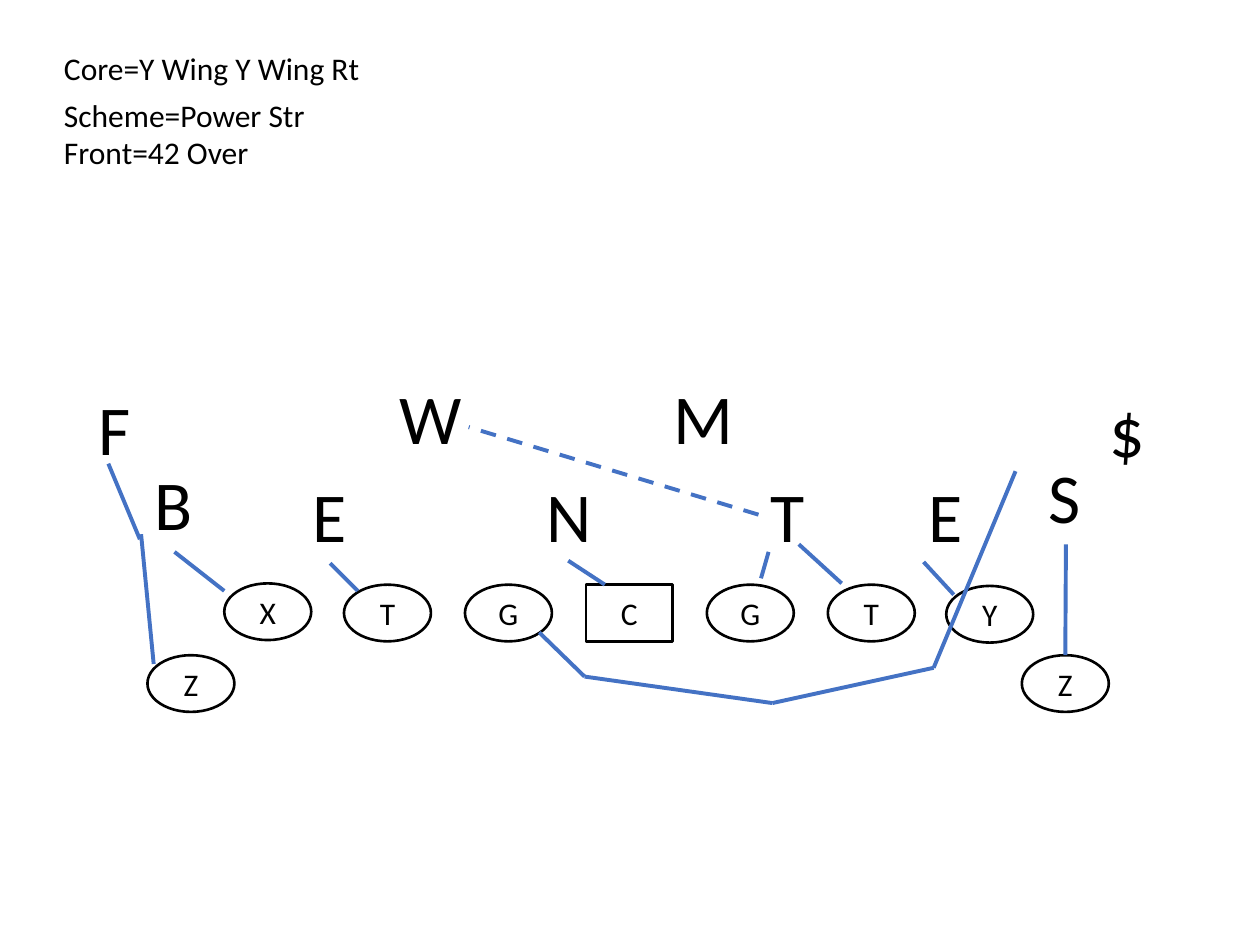
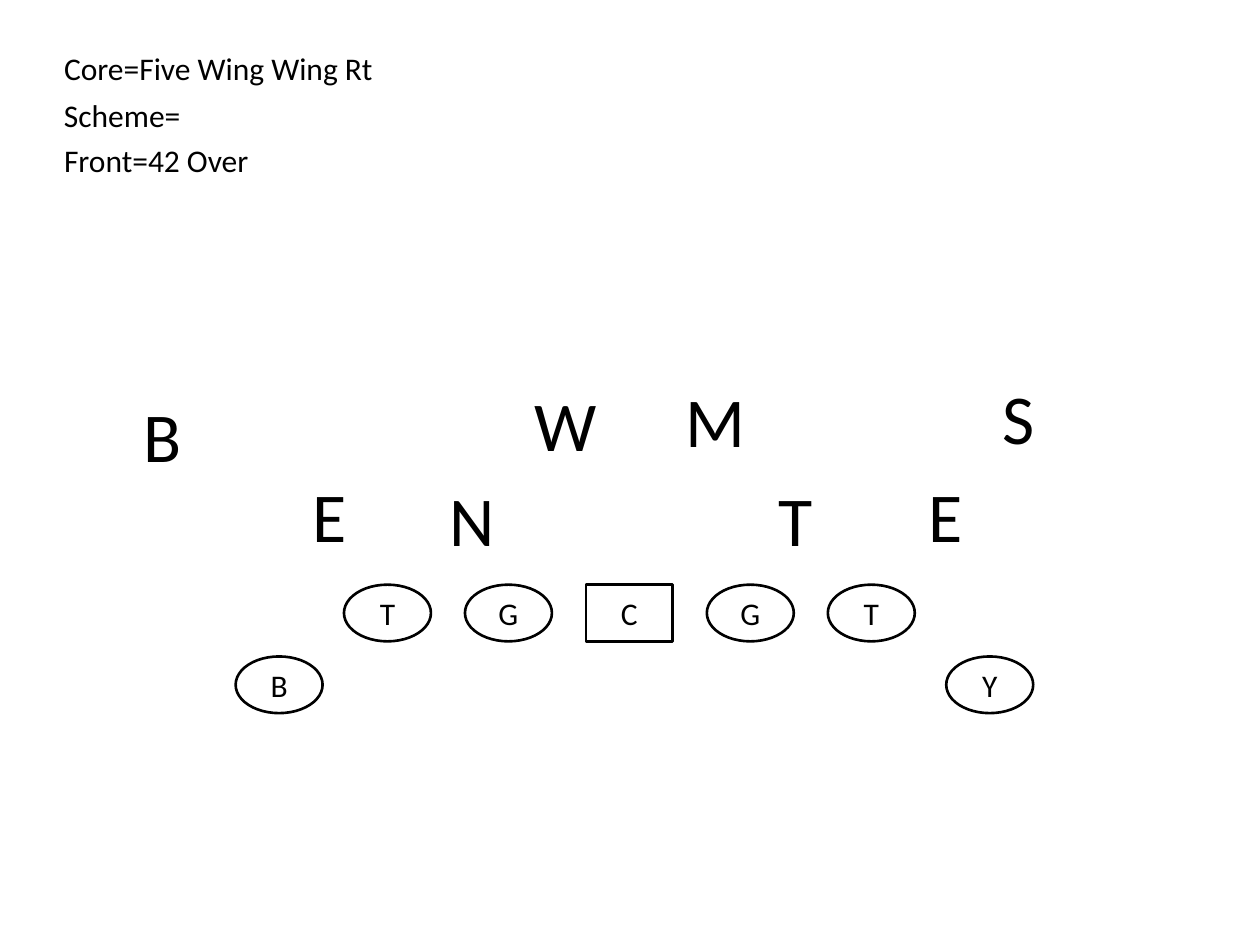
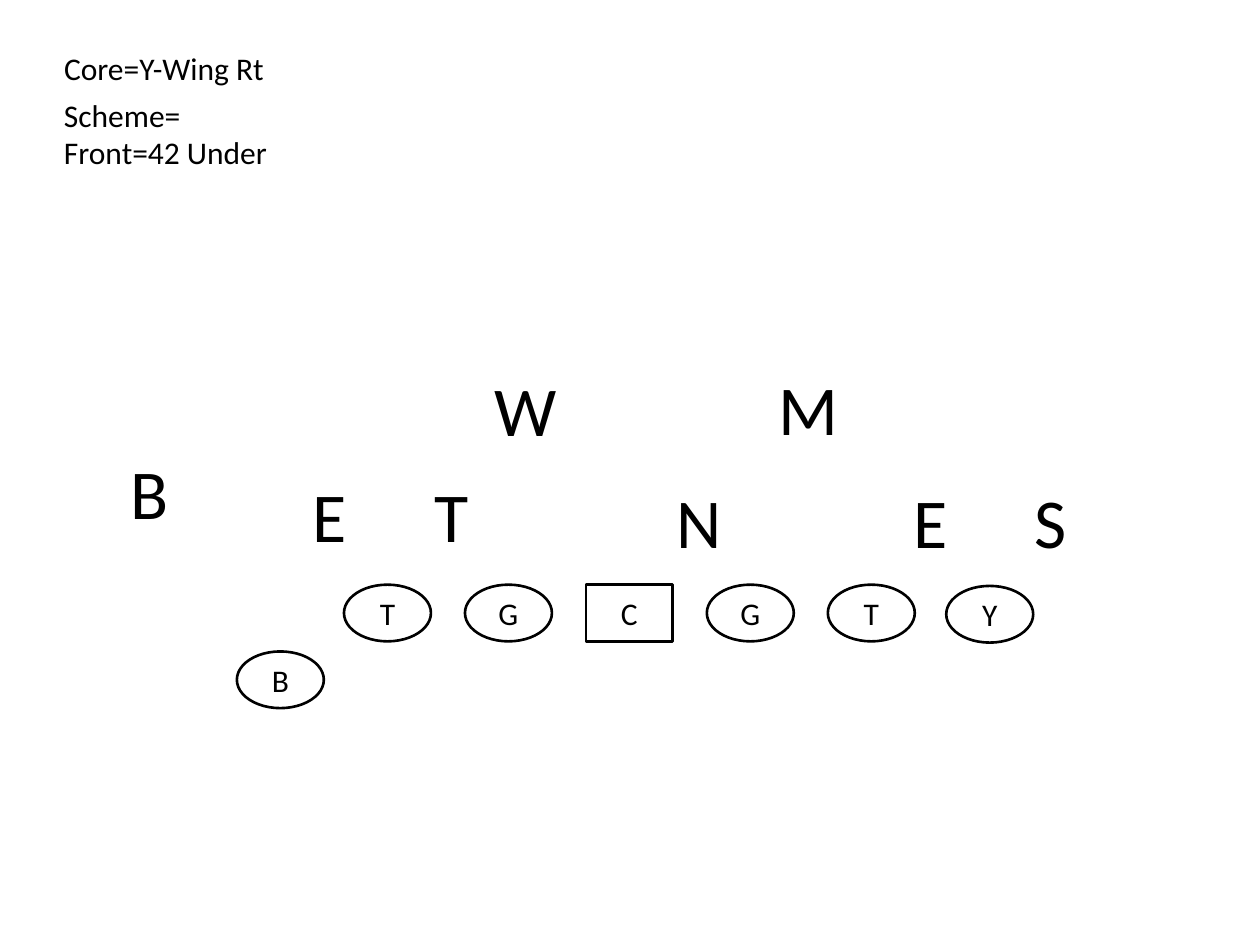
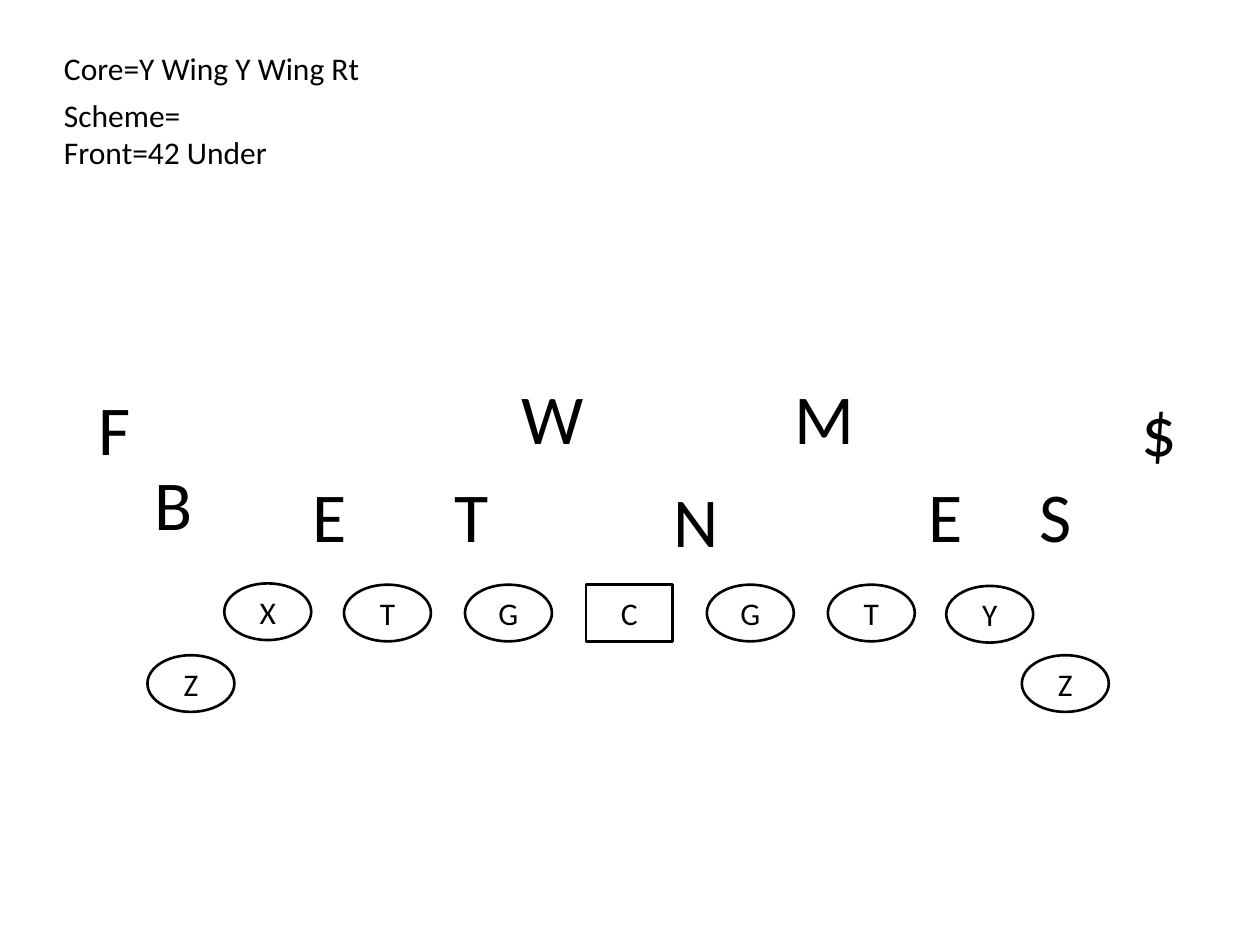
from dataclasses import dataclass
from itertools import pairwise

from lxml import etree
from pptx import Presentation
from pptx import util as u
from pptx.dml.color import RGBColor
from pptx.enum import dml, shapes, text
from pptx.oxml.ns import qn

PX = 9144  # EMU in one px, 100 px to the inch


@dataclass(frozen=True)
class Theme:
    font: str = "Calibri"
    ink: RGBColor = RGBColor(0, 0, 0)
    paper: RGBColor = RGBColor(255, 255, 255)
    route: RGBColor = RGBColor(0x44, 0x72, 0xC4)
    small: int = 18
    large: int = 40
    edge: float = 1.5
    stroke: float = 2.25


@dataclass
class Play:
    notes: list    # (text, top, width)
    wings: list    # (letter, left, top) beside the line
    defense: list  # (letter, left, top)


THEME = Theme()
NOTE_X, NOTE_H = 41, 40
SPOT_W, SPOT_H = 69, 45
LINE, LINE_X, LINE_Y, PITCH = "TGCGT", 273, 464, 96
MARK_H = 77
MARK_W = dict(N=56, T=48, E=48, W=70, M=70, S=48, B=51, F=35) | {"$": 39}

CORE_YY = ("Core=Y Wing Y Wing Rt", 34, 257)
NO_SCHEME = ("Scheme=", 71, 114)
OVER = ("Front=42 Over", 101, 174)
UNDER = ("Front=42 Under", 101, 183)

Y_END = ("Y", 751, 465)
TWO_WINGS = [Y_END, ("X", 178, 463), ("Z", 811, 520), ("Z", 117, 520)]
LEFT_END = ("E", 238, 370)
RIGHT_END = ("E", 727, 370)
LEFT_BACKS = [("B", 113, 361), ("F", 68, 301)]

PLAYS = [
    Play([CORE_YY, ("Scheme=Power Str", 71, 213), OVER],
         TWO_WINGS,
         [("N", 424, 370), ("T", 602, 370), RIGHT_END, LEFT_END,
          ("W", 307, 292), ("M", 525, 292), ("S", 822, 355),
          ("$", 871, 303), *LEFT_BACKS]),
    Play([("Core=Five Wing Wing Rt", 34, 268), NO_SCHEME,
          ("Front=42 Over", 107, 168)],
         [("Y", 751, 521), ("B", 187, 521)],
         [("N", 347, 373), ("T", 608, 373), RIGHT_END, LEFT_END,
          ("W", 414, 298), ("M", 534, 295), ("S", 786, 292),
          ("B", 104, 307)]),
    Play([("Core=Y-Wing Rt", 34, 182), NO_SCHEME, UNDER],
         [Y_END, ("B", 188, 517)],
         [("N", 527, 375), ("T", 335, 370), ("E", 715, 375), LEFT_END,
          ("W", 383, 286), ("M", 608, 285), ("S", 811, 375),
          ("B", 94, 352)]),
    Play([CORE_YY, NO_SCHEME, UNDER],
         TWO_WINGS,
         [("N", 525, 374), ("T", 351, 370), RIGHT_END, LEFT_END,
          ("W", 404, 292), ("M", 621, 292), ("S", 815, 370),
          ("$", 896, 302), *LEFT_BACKS]),
]

BLOCKS = [
    ((451, 445), (480, 464)),
    ((733, 446), (757, 472)),
    ((112, 424), (122, 527)),
    ((111, 428), (86, 368)),
    ((610, 438), (604, 459)),
    ((634, 432), (668, 463)),
]
PULL = [(428, 502), (464, 537), (613, 558), (741, 530), (806, 374)]


def px(*sizes):
    return [u.Emu(size * PX) for size in sizes]


def write(frame, words, size, align=text.PP_ALIGN.LEFT):
    para = frame.paragraphs[0]
    para.text = words
    para.alignment = align
    font = para.font
    font.name, font.size = THEME.font, u.Pt(size)
    font.color.rgb = THEME.ink


def label(slide, words, box, size, wrap=False):
    item = slide.shapes.add_textbox(*px(*box))
    frame = item.text_frame
    frame.word_wrap = wrap
    frame.auto_size = text.MSO_AUTO_SIZE.SHAPE_TO_FIT_TEXT
    write(frame, words, size)
    return item


def mark(slide, letter, x, y):
    """Add a defender's letter."""
    box = x, y, MARK_W[letter], MARK_H
    return label(slide, letter, box, THEME.large, wrap=letter in "F$")


def spot(slide, letter, x, y):
    """Add an offensive player: a square for the center, else an oval."""
    kind = shapes.MSO_SHAPE.RECTANGLE if letter == "C" else shapes.MSO_SHAPE.OVAL
    item = slide.shapes.add_shape(kind, *px(x, y, SPOT_W, SPOT_H))
    item.shadow.inherit = False
    item.fill.solid()
    item.fill.fore_color.rgb = THEME.paper
    item.line.color.rgb = THEME.ink
    item.line.width = u.Pt(THEME.edge)
    item.text_frame.vertical_anchor = text.MSO_ANCHOR.MIDDLE
    write(item.text_frame, letter, THEME.small, text.PP_ALIGN.CENTER)
    return item


def path(slide, start, end, dash=False):
    item = slide.shapes.add_connector(
        shapes.MSO_CONNECTOR.STRAIGHT, *px(*start, *end))
    item.line.color.rgb = THEME.route
    item.line.width = u.Pt(THEME.stroke)
    if dash:
        item.line.dash_style = dml.MSO_LINE.DASH
    etree.SubElement(item._element.spPr, qn("a:effectLst"))
    return item


def lineup(slide, play):
    """Place the notes and both teams; return players by letter and place."""
    for words, top, width in play.notes:
        label(slide, words, (NOTE_X, top, width, NOTE_H), THEME.small)
    for i, letter in enumerate(LINE):
        spot(slide, letter, LINE_X + i * PITCH, LINE_Y)
    team = {man: spot(slide, *man) for man in play.wings}
    return team | {man: mark(slide, *man) for man in play.defense}


def power(slide, team):
    """Draw the blocks and the guard's pull of the power scheme."""
    for start, end in BLOCKS:
        path(slide, start, end)
    for start, end in pairwise(PULL):
        path(slide, start, end)
    path(slide, (261, 448), (284, 469)).begin_connect(team[LEFT_END], 2)
    path(slide, (138, 439), (178, 469)).begin_connect(team["B", 113, 361], 2)
    combo = path(slide, (602, 409), (372, 339), dash=True)
    combo.begin_connect(team["T", 602, 370], 1)
    stalk = path(slide, (846, 432), (846, 520))
    stalk.begin_connect(team["S", 822, 355], 2)
    stalk.end_connect(team["Z", 811, 520], 0)


def main():
    deck = Presentation()
    deck.slide_width, deck.slide_height = px(1000, 750)
    blank = deck.slide_layouts.get_by_name("Blank")
    for i, play in enumerate(PLAYS):
        slide = deck.slides.add_slide(blank)
        team = lineup(slide, play)
        if i == 0:
            power(slide, team)
    deck.save("out.pptx")


if __name__ == "__main__":
    main()
